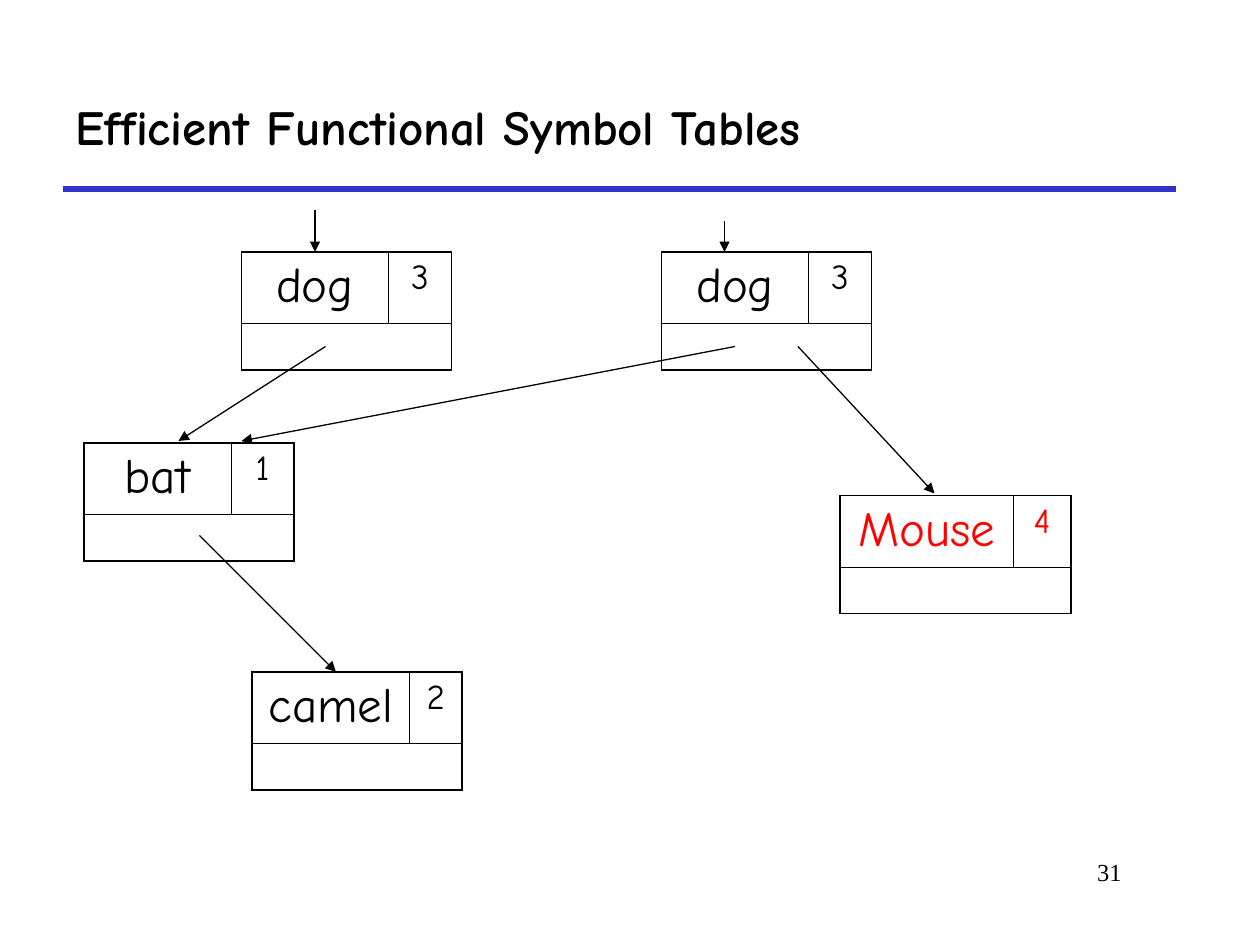
from dataclasses import dataclass

from lxml import etree
from pptx import Presentation
from pptx import util as u
from pptx.dml.color import RGBColor
from pptx.enum import shapes, text
from pptx.oxml import ns

BLACK = RGBColor(0x00, 0x00, 0x00)
RED = RGBColor(0xFF, 0x00, 0x00)
BLUE = RGBColor(0x33, 0x33, 0xCC)
COMIC = "Comic Neue"
TIMES = "Times New Roman"
THICK, THIN = 1.08, 0.45
ROWS = (41, 18)
PLAIN = "{2D5ABB26-0587-4C30-8999-92F81FD0307C}"


@dataclass
class Node:
    key: str
    val: str
    left: float
    top: float
    cols: tuple[float, float] = (84, 36)
    ink: RGBColor = BLACK


@dataclass
class Line:
    x1: float
    y1: float
    x2: float
    y2: float
    ink: RGBColor = BLACK
    width: float = 0.75
    arrow: bool = True


NODES = [
    Node("bat", "1", 48, 253.2),
    Node("camel", "2", 144, 384, (90, 30)),
    Node("dog", "3", 138, 144),
    Node("Mouse", "4", 480, 283.2, (99, 33), RED),
    Node("dog", "3", 378, 144),
]
LINES = [
    Line(36, 108, 672, 108, BLUE, 3, False),
    Line(186, 198, 102, 252),
    Line(114, 306, 192, 384),
    Line(180, 120, 180, 144),
    Line(414, 126, 414, 144),
    Line(420, 198, 138, 252),
    Line(456, 198, 534, 282),
]


def put(obj, vals: dict) -> None:
    for name, val in vals.items():
        setattr(obj, name, val)


def write(frame, words: str, size: float, face: str, ink: RGBColor,
          align, gap: float = 0, bold: bool = False) -> None:
    para = frame.paragraphs[0]
    put(para, {"alignment": align, "space_before": u.Pt(gap)})
    run = para.add_run()
    run.text = words
    put(run.font, {"size": u.Pt(size), "name": face, "bold": bold})
    run.font.color.rgb = ink


def edge(cell, thick: str) -> None:
    props = cell._tc.get_or_add_tcPr()
    for side in "LRTB":
        if cell.is_spanned and side == "L":
            continue
        width = THICK if side in thick else THIN
        line = etree.SubElement(props, ns.qn(f"a:ln{side}"), w=str(u.Pt(width)))
        fill = etree.SubElement(line, ns.qn("a:solidFill"))
        etree.SubElement(fill, ns.qn("a:srgbClr"), val=str(BLACK))
    cell.fill.background()


def draw_node(slide, node: Node) -> None:
    table = slide.shapes.add_table(
        2, 2, u.Pt(node.left), u.Pt(node.top),
        u.Pt(sum(node.cols)), u.Pt(sum(ROWS))).table
    put(table, {"first_row": False, "horz_banding": False})
    table._tbl.tblPr[0].text = PLAIN
    for col, width in zip(table.columns, node.cols):
        col.width = u.Pt(width)
    for row, height in zip(table.rows, ROWS):
        row.height = u.Pt(height)
    table.cell(1, 0).merge(table.cell(1, 1))
    for cell, thick in zip(table.iter_cells(), ("LT", "RT", "LRB", "RB")):
        edge(cell, thick)
    for col, (words, size, gap) in enumerate(((node.key, 28, 7), (node.val, 20, 5))):
        write(table.cell(0, col).text_frame, words, size, COMIC, node.ink,
              text.PP_ALIGN.CENTER, gap)
        blank = table.cell(1, col).text_frame.paragraphs[0]
        blank._p.get_or_add_endParaRPr().set("sz", "1600")


def draw_line(slide, line: Line) -> None:
    link = slide.shapes.add_connector(
        shapes.MSO_CONNECTOR.STRAIGHT,
        *map(u.Pt, (line.x1, line.y1, line.x2, line.y2)))
    link.line.width = u.Pt(line.width)
    link.line.color.rgb = line.ink
    if line.arrow:
        etree.SubElement(link.line._get_or_add_ln(), ns.qn("a:tailEnd"), type="triangle")
    etree.SubElement(link._element.spPr, ns.qn("a:effectLst"))


def main() -> None:
    deck = Presentation()
    put(deck, {"slide_width": u.Pt(720), "slide_height": u.Pt(540)})
    slide = deck.slides.add_slide(deck.slide_layouts[5])

    title = slide.shapes.title
    put(title, {"left": u.Pt(36), "top": u.Pt(36),
                "width": u.Pt(636), "height": u.Pt(72)})
    put(title.text_frame, {"vertical_anchor": text.MSO_ANCHOR.MIDDLE,
                           "auto_size": text.MSO_AUTO_SIZE.NONE,
                           "word_wrap": True})
    write(title.text_frame, "Efficient Functional Symbol Tables", 28, COMIC,
          BLACK, text.PP_ALIGN.LEFT, bold=True)

    page = slide.shapes.add_textbox(u.Pt(498), u.Pt(486), u.Pt(150), u.Pt(36))
    page.text_frame.word_wrap = True
    write(page.text_frame, "31", 14, TIMES, BLACK, text.PP_ALIGN.RIGHT)

    for node in NODES:
        draw_node(slide, node)
    for line in LINES:
        draw_line(slide, line)
    deck.save("out.pptx")


if __name__ == "__main__":
    main()
